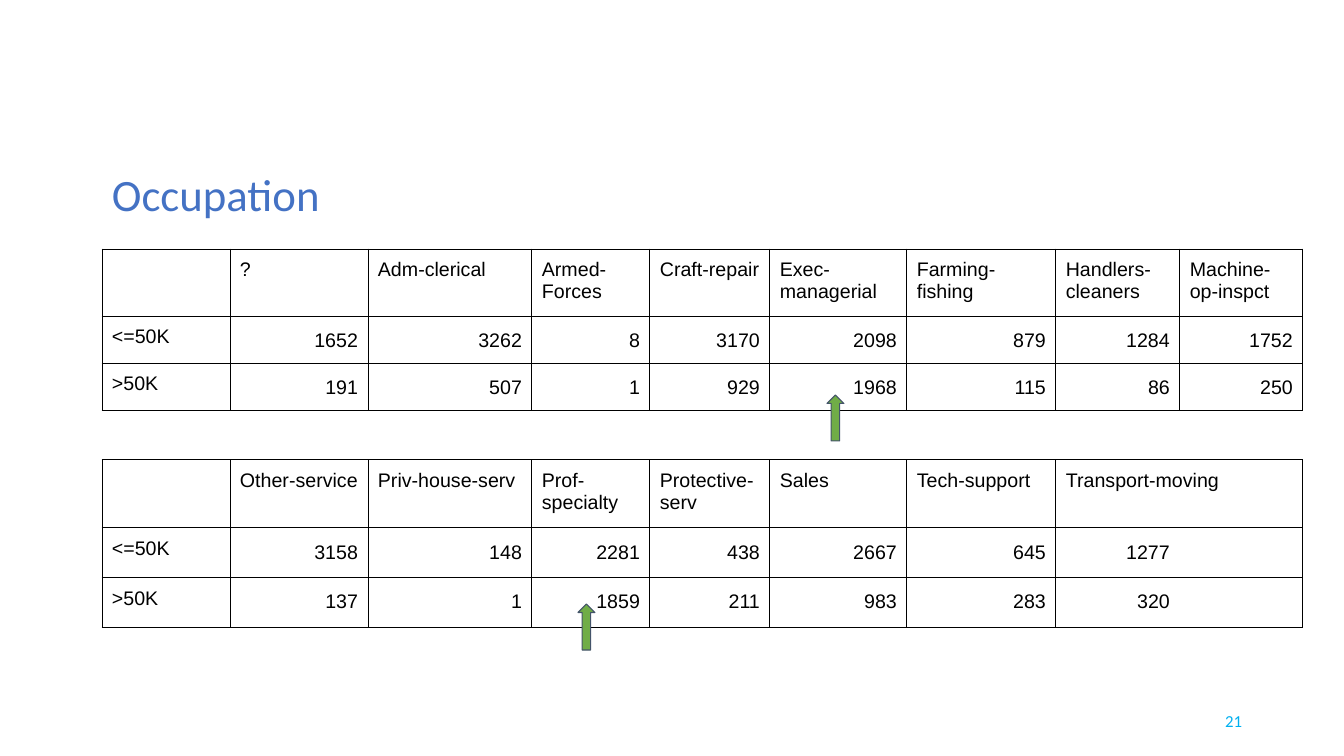
from lxml import etree
from pptx import Presentation, util as u
from pptx.dml import color
from pptx.enum import shapes, text
from pptx.oxml import ns

SCALE = 914400 / 100.8
COLS = [128, 138, 164, 118, 120, 137, 149, 124, 123]
ROWS = [67, 47, 47, 50, 68, 50, 50]
GAP, LOWER, SEAM = 3, 4, 7
BLACK = "000000"
JOBS = [
    ["", "?", "Adm-clerical", "Armed-Forces", "Craft-repair", "Exec-managerial",
     "Farming-fishing", "Handlers-cleaners", "Machine-op-inspct"],
    ["<=50K", "1652", "3262", "8", "3170", "2098", "879", "1284", "1752"],
    [">50K", "191", "507", "1", "929", "1968", "115", "86", "250"],
    [""] * 9,
    ["", "Other-service", "Priv-house-serv", "Prof-specialty", "Protective-serv",
     "Sales", "Tech-support", "Transport-moving", ""],
    ["<=50K", "3158", "148", "2281", "438", "2667", "645", "1277", ""],
    [">50K", "137", "1", "1859", "211", "983", "283", "320", ""],
]


def px(n):
    return u.Emu(round(n * SCALE))


def rgb(code):
    return color.RGBColor.from_string(code)


def assign(item, form):
    for name, value in form.items():
        setattr(item, name, value)


def write(frame, words, font, size, ink, form):
    par = frame.paragraphs[0]
    assign(par, form)
    run = par.add_run()
    run.text = words
    assign(run.font, {"name": font, "size": u.Pt(size)})
    run.font.color.rgb = rgb(ink)


def label(slide, box, words, size, ink, anchor, form):
    frame = slide.shapes.add_textbox(*map(px, box)).text_frame
    assign(frame, {"word_wrap": True, "vertical_anchor": anchor})
    write(frame, words, "Calibri", size, ink, form)


def edge(cell, sides):
    props = cell._tc.get_or_add_tcPr()
    for side in "LRTB":
        line = etree.SubElement(props, ns.qn("a:ln" + side), w=str(u.Pt(0.75)))
        if side in sides:
            fill = etree.SubElement(line, ns.qn("a:solidFill"))
            etree.SubElement(fill, ns.qn("a:srgbClr"), val=BLACK)
        else:
            etree.SubElement(line, ns.qn("a:noFill"))


def sides(row, col):
    if row == GAP:
        return "TB"
    if row > LOWER and col == SEAM:
        return "LTB"
    if row >= LOWER and col > SEAM:
        return "RTB"
    return "LRTB"


def grid(slide, left, top):
    box = map(px, (left, top, sum(COLS), sum(ROWS)))
    table = slide.shapes.add_table(len(ROWS), len(COLS), *box).table
    assign(table, {"first_row": False, "horz_banding": False})
    for col, width in zip(table.columns, COLS):
        col.width = px(width)
    for row, height in zip(table.rows, ROWS):
        row.height = px(height)
    table.cell(LOWER, SEAM).merge(table.cell(LOWER, SEAM + 1))
    pad = {"margin_" + side: px(10) for side in ("left", "right", "top", "bottom")}
    for r, line in enumerate(JOBS):
        for c, words in enumerate(line):
            cell = table.cell(r, c)
            edge(cell, sides(r, c))
            cell.fill.background()
            if words:
                assign(cell, pad)
                form = {}
                if c and r not in (0, LOWER):
                    form = {"alignment": text.PP_ALIGN.RIGHT, "line_spacing": 1.15}
                write(cell.text_frame, words, "Arial", 14, BLACK, form)


def arrow(slide, left, top):
    box = map(px, (left, top, 17, 46))
    shape = slide.shapes.add_shape(shapes.MSO_SHAPE.UP_ARROW, *box)
    shape.shadow.inherit = False
    shape.fill.solid()
    shape.fill.fore_color.rgb = rgb("70AD47")
    shape.line.color.rgb = rgb("44546A")
    shape.line.width = u.Pt(0.75)


def main():
    deck = Presentation()
    assign(deck, {"slide_width": px(1344), "slide_height": px(756)})
    slide = deck.slides.add_slide(deck.slide_layouts[6])
    label(slide, (950, 701, 302, 40), "21", 12, "00B0F0",
          text.MSO_ANCHOR.MIDDLE, {"alignment": text.PP_ALIGN.RIGHT})
    grid(slide, 102, 249)
    label(slide, (102, 168, 259, 58), "Occupation", 32, "4472C4",
          text.MSO_ANCHOR.BOTTOM, {"line_spacing": 0.9})
    for spot in ((827, 395), (578, 604)):
        arrow(slide, *spot)
    deck.save("out.pptx")


if __name__ == "__main__":
    main()
